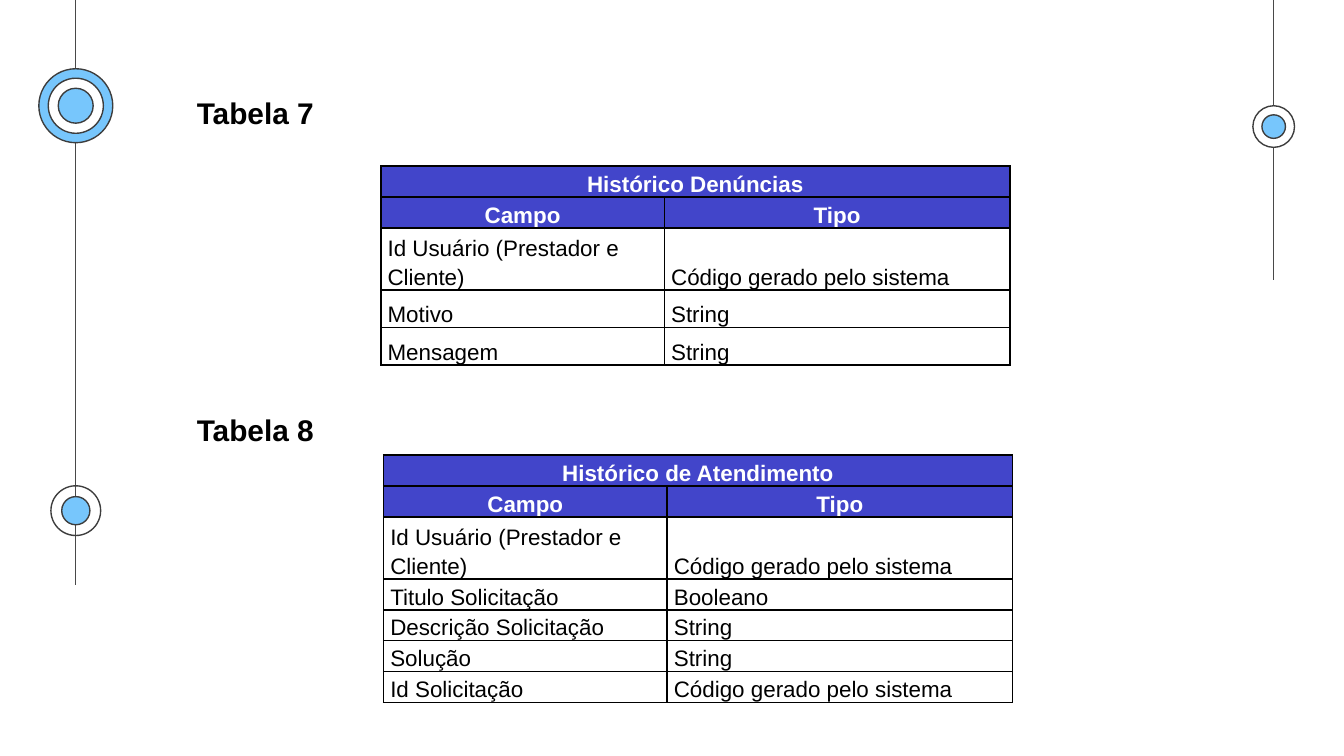
"""Build a slide with two field tables beside ringed vertical lines."""
from dataclasses import dataclass
from typing import Optional

from lxml.etree import SubElement
from pptx import Presentation
from pptx.dml.color import RGBColor
from pptx.enum.shapes import MSO_CONNECTOR, MSO_SHAPE
from pptx.enum.text import MSO_ANCHOR, MSO_AUTO_SIZE, PP_ALIGN
from pptx.oxml.ns import qn
from pptx.util import Inches, Pt

COLORS = {
    "blue": "77C6FC",
    "white": "FFFFFF",
    "line": "494949",
    "ring": "3D3D3D",
    "header": "4245CA",
    "text": "000000",
}
FONT = "Arial"
GRID = Inches(0.1)
COLUMNS, ROWS = 100, 56.25
FIELD_COLUMNS = (21.1, 25.7)
ROW = 2.1
TALL_ROW = 2.8
HEADINGS = ("Campo", "Tipo")
USER_FIELD = ("Id Usuário (Prestador e Cliente)", "Código gerado pelo sistema")


@dataclass
class Rail:
    x: float
    bottom: float


@dataclass
class Ring:
    x: float
    y: float
    diameter: float
    fill: Optional[str]


@dataclass
class FieldTable:
    label: str
    label_top: float
    left: float
    top: float
    title: str
    fields: list[tuple[str, str]]
    heights: list[float]


LEFT, RIGHT = 5.64, 94.77
RAILS = [Rail(LEFT, 43.5), Rail(RIGHT, 20.8)]
RINGS = [
    Ring(LEFT, 38, 3.7, None),
    Ring(LEFT, 38, 2.1, "blue"),
    Ring(RIGHT, 9.42, 3.1, "white"),
    Ring(RIGHT, 9.42, 1.75, "blue"),
    Ring(LEFT, 7.87, 5.5, "blue"),
    Ring(LEFT, 7.87, 4.1, "white"),
    Ring(LEFT, 7.87, 2.6, "blue"),
]
TABLES = [
    FieldTable(
        "Tabela 7", 6.54, 28.34, 12.37, "Histórico Denúncias",
        [USER_FIELD, ("Motivo", "String"), ("Mensagem", "String")],
        [ROW] * 3 + [TALL_ROW] * 2,
    ),
    FieldTable(
        "Tabela 8", 30.14, 28.54, 33.86, "Histórico de Atendimento",
        [
            USER_FIELD,
            ("Titulo Solicitação", "Booleano"),
            ("Descrição Solicitação", "String"),
            ("Solução", "String"),
            ("Id Solicitação", "Código gerado pelo sistema"),
        ],
        [ROW] * 7,
    ),
]


def grid(units: float) -> int:
    return round(units * GRID)


def rgb(name: str) -> RGBColor:
    return RGBColor.from_string(COLORS[name])


def set_font(p, size: float, color: str, bold: bool) -> None:
    p.font.name = FONT
    p.font.size = Pt(size)
    p.font.bold = bold
    p.font.color.rgb = rgb(color)


def draw_rail(s, rail: Rail) -> None:
    x = grid(rail.x)
    line = s.shapes.add_connector(MSO_CONNECTOR.STRAIGHT, x, 0, x, grid(rail.bottom))
    line.line.color.rgb = rgb("line")
    line.line.width = Pt(0.75)
    SubElement(line._element.spPr, qn("a:effectLst"))


def draw_ring(s, ring: Ring) -> None:
    size = grid(ring.diameter)
    left, top = (grid(c - ring.diameter / 2) for c in (ring.x, ring.y))
    sp = s.shapes.add_shape(MSO_SHAPE.OVAL, left, top, size, size)
    sp.shadow.inherit = False
    if ring.fill:
        sp.fill.solid()
        sp.fill.fore_color.rgb = rgb(ring.fill)
    else:
        sp.fill.background()
    sp.line.color.rgb = rgb("ring")
    sp.line.width = Pt(0.75)


def draw_label(s, text: str, top: float) -> None:
    sp = s.shapes.add_textbox(grid(13.66), grid(top), grid(11), grid(3.7))
    tf = sp.text_frame
    tf.word_wrap = False
    tf.auto_size = MSO_AUTO_SIZE.SHAPE_TO_FIT_TEXT
    p = tf.paragraphs[0]
    p.text = text
    set_font(p, 16, "text", True)


def add_borders(cell) -> None:
    tc_pr = cell._tc.get_or_add_tcPr()
    for index, side in enumerate(("lnL", "lnR", "lnT", "lnB")):
        ln = tc_pr.makeelement(qn(f"a:{side}"), {"w": str(Pt(1))})
        fill = SubElement(ln, qn("a:solidFill"))
        SubElement(fill, qn("a:srgbClr"), val=COLORS["text"])
        tc_pr.insert(index, ln)


def style_cell(cell, text: str, header: bool) -> None:
    cell.margin_left = cell.margin_right = Inches(0.05)
    cell.margin_top = cell.margin_bottom = 0
    cell.vertical_anchor = MSO_ANCHOR.BOTTOM
    if header:
        cell.fill.solid()
        cell.fill.fore_color.rgb = rgb("header")
    else:
        cell.fill.background()
    add_borders(cell)
    p = cell.text_frame.paragraphs[0]
    p.text = text
    p.line_spacing = 1.15
    p.alignment = PP_ALIGN.CENTER if header else PP_ALIGN.LEFT
    set_font(p, 12, "white" if header else "text", header)


def draw_table(s, field_table: FieldTable) -> None:
    draw_label(s, field_table.label, field_table.label_top)
    rows = [(field_table.title, ""), HEADINGS, *field_table.fields]
    table = s.shapes.add_table(
        len(rows), len(FIELD_COLUMNS), grid(field_table.left), grid(field_table.top),
        grid(sum(FIELD_COLUMNS)), grid(sum(field_table.heights)),
    ).table
    table.first_row = table.horz_banding = False
    for column, width in zip(table.columns, FIELD_COLUMNS):
        column.width = grid(width)
    for i, (row, height, texts) in enumerate(zip(table.rows, field_table.heights, rows)):
        row.height = grid(height)
        for cell, text in zip(row.cells, texts):
            style_cell(cell, text, header=i < 2)
    table.cell(0, 0).merge(table.cell(0, 1))


def main() -> None:
    prs = Presentation()
    prs.slide_width, prs.slide_height = grid(COLUMNS), grid(ROWS)
    s = prs.slides.add_slide(prs.slide_layouts[6])
    for rail in RAILS:
        draw_rail(s, rail)
    for ring in RINGS:
        draw_ring(s, ring)
    for field_table in TABLES:
        draw_table(s, field_table)
    prs.save("out.pptx")


if __name__ == "__main__":
    main()
